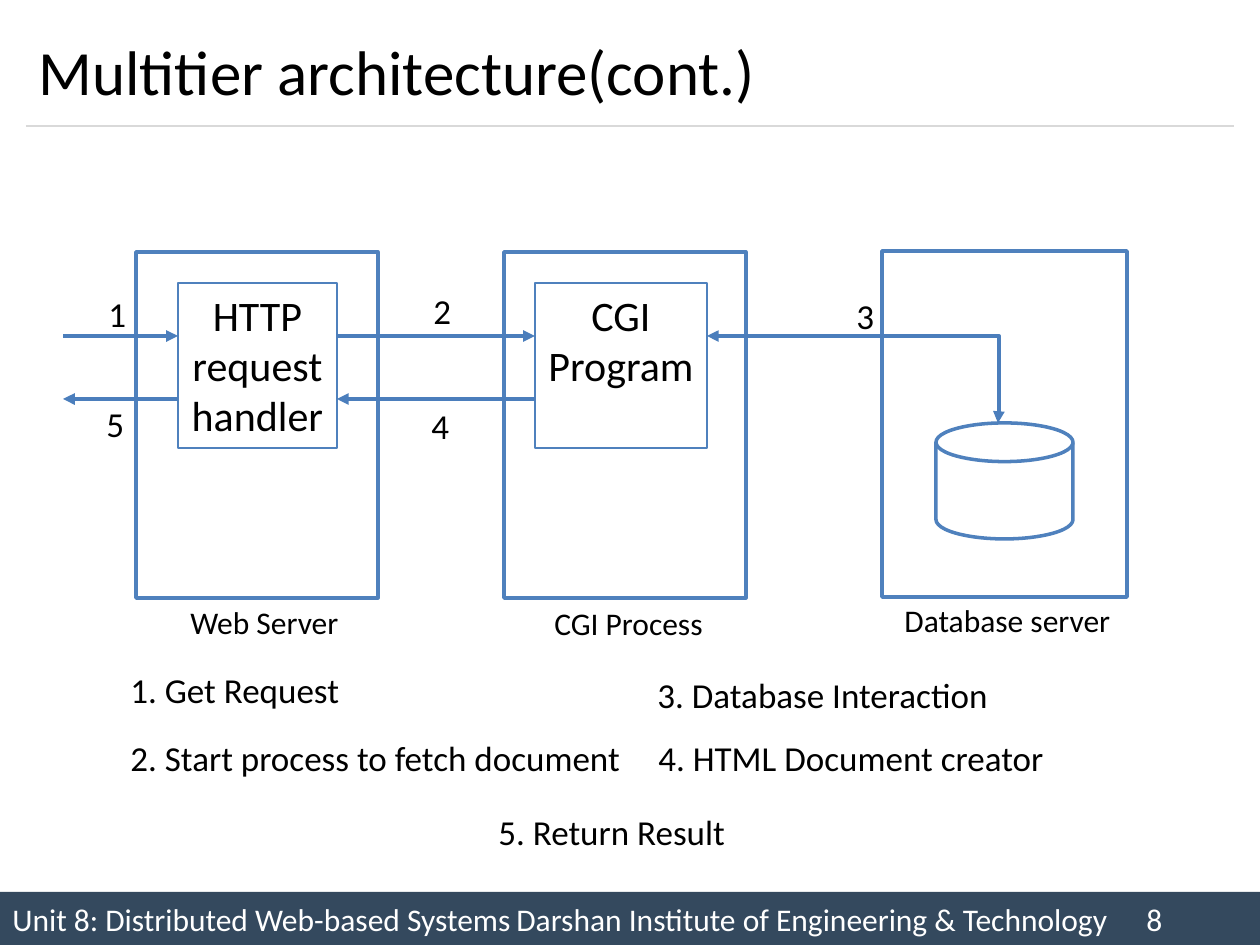
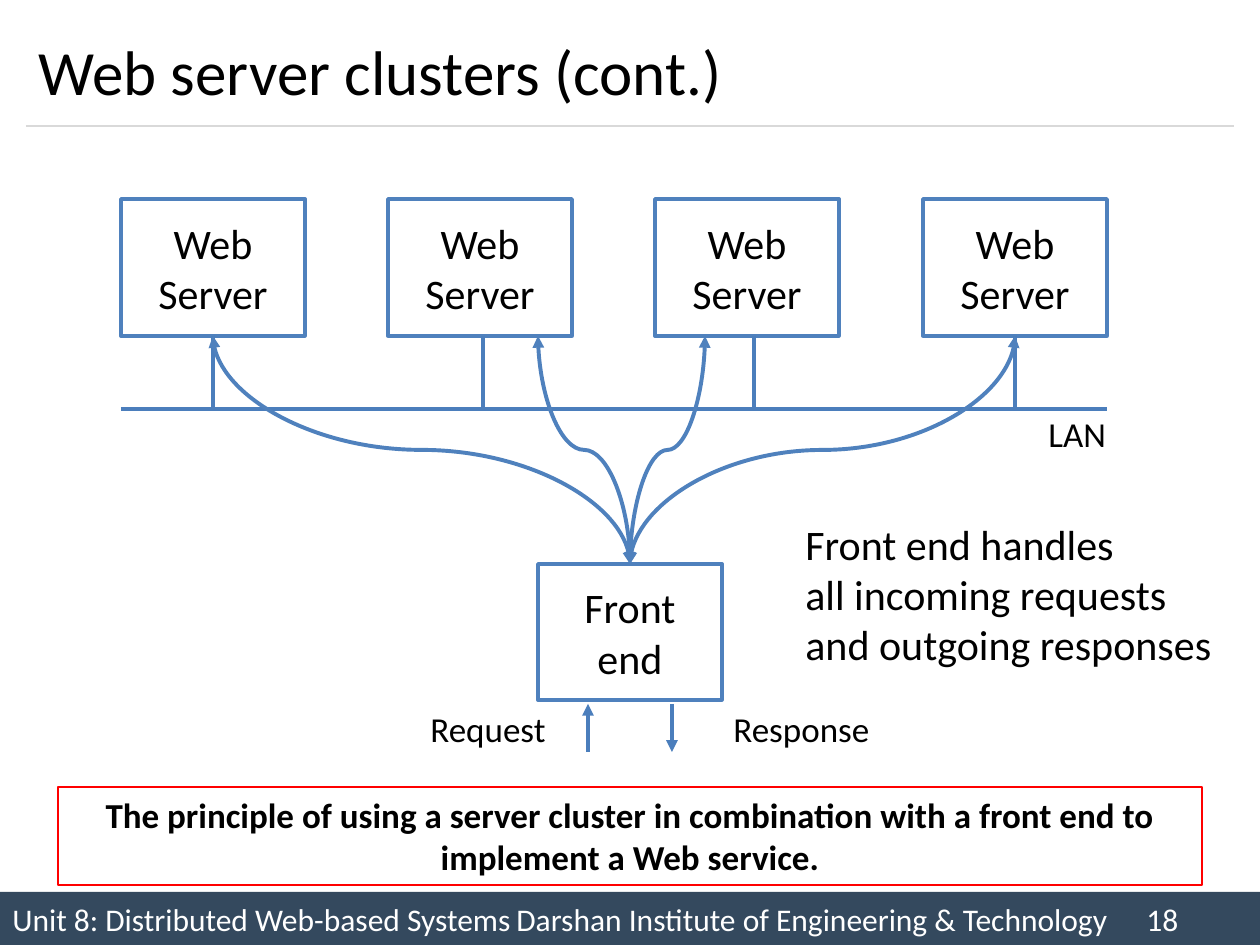
"""Build two slides on web server architecture."""
from lxml import etree
from pptx import Presentation, util as u
from pptx.dml.color import RGBColor
from pptx.enum import shapes as sh, text as tx
from pptx.oxml import ns

HUES = {"ink": "000000", "paper": "FFFFFF", "band": "34495E", "rule": "D9D9D9",
        "edge": "4F81BD", "wire": "4B7EBC", "alert": "FF0000"}
FONT = {"name": "Calibri", "bold": False}
KIND, LINK = sh.MSO_SHAPE, sh.MSO_CONNECTOR
MID, TOP = tx.MSO_ANCHOR.MIDDLE, tx.MSO_ANCHOR.TOP
LEFT, MIDST = tx.PP_ALIGN.LEFT, tx.PP_ALIGN.CENTER
SCALE = 914400 / 126


def px(n):
    """Turn px into EMU."""
    return u.Emu(round(n * SCALE))


def hue(name):
    """Return a named colour."""
    return RGBColor.from_string(HUES[name])


def sub(node, tag, **atts):
    """Append a drawing element to a node."""
    return etree.SubElement(node, ns.qn("a:" + tag), atts)


def write(frame, words, size, ink="ink", align=LEFT, anchor=TOP, wrap=True, bold=False):
    """Fill a text frame, one paragraph for each line of words."""
    form = {"word_wrap": wrap, "vertical_anchor": anchor, "auto_size": tx.MSO_AUTO_SIZE.NONE}
    for key, val in form.items():
        setattr(frame, key, val)
    frame.text = words
    for para in frame.paragraphs:
        para.alignment = align
        for run in para.runs:
            for key, val in {**FONT, "size": u.Pt(size), "bold": bold}.items():
                setattr(run.font, key, val)
            run.font.color.rgb = hue(ink)


def box(slide, area, fill="paper", edge="edge", width=2, kind=KIND.RECTANGLE):
    """Draw a preset shape."""
    item = slide.shapes.add_shape(kind, *map(px, area))
    item.shadow.inherit = False
    if fill:
        item.fill.solid()
        item.fill.fore_color.rgb = hue(fill)
    else:
        item.fill.background()
    if edge:
        item.line.color.rgb = hue(edge)
        item.line.width = u.Pt(width)
    else:
        item.line.fill.background()
    return item


def label(slide, area, words, size=20):
    """Place a text box that does not wrap."""
    item = slide.shapes.add_textbox(*map(px, area))
    write(item.text_frame, words, size, wrap=False)


def wire(slide, ends, tips=(), ink="wire", width=2.25, kind=LINK.STRAIGHT):
    """Draw a connector with arrow tips at the named ends."""
    item = slide.shapes.add_connector(kind, *map(px, ends))
    item.line.color.rgb = hue(ink)
    item.line.width = u.Pt(width)
    for tip in tips:
        sub(item.line._get_or_add_ln(), tip, type="triangle")
    sub(item._element.spPr, "effectLst")
    return item


def turn(item, angle):
    """Rotate a connector."""
    item._element.spPr.find(ns.qn("a:xfrm")).set("rot", str(angle * 60000))


def curve(slide, x1, y1, x2, y2):
    """Draw a two-way curve that leaves and arrives upright."""
    drop, span = y2 - y1, abs(x2 - x1)
    left, top = (x1 + x2 - drop) / 2, (y1 + y2 - span) / 2
    ends, angle = (left, top, left + drop, top + span), 90
    if x2 > x1:
        ends, angle = (left + drop, top, left, top + span), 270
    turn(wire(slide, ends, ("headEnd", "tailEnd"), "edge", kind=LINK.CURVE), angle)


def start(deck, title, page):
    """Add a slide with its title, rule and footer band."""
    slide = deck.slides.add_slide(deck.slide_layouts[5])
    head = slide.shapes.title
    area = {"left": 26, "top": 15, "width": 1207, "height": 111}
    for key, val in area.items():
        setattr(head, key, px(val))
    write(head.text_frame, title, 36, anchor=MID)
    wire(slide, (26, 126, 1234, 126), ink="rule", width=0.75)
    foot = box(slide, (0, 892, 1260, 53), "band", None)
    tabs = sub(foot.text_frame.paragraphs[0]._p.get_or_add_pPr(), "tabLst")
    for stop in (576, 1182):
        sub(tabs, "tab", pos=str(px(stop)), algn="l")
    words = ("Unit 8: Distributed Web-based Systems",
             "Darshan Institute of Engineering & Technology", str(page))
    write(foot.text_frame, "\t".join(words), 18, "paper", anchor=MID)
    return slide


def tiers(deck):
    """Build the multitier slide."""
    slide = start(deck, "Multitier architecture(cont.)", 8)
    for area in ((136, 252, 242, 346), (504, 252, 242, 346), (882, 251, 245, 346)):
        box(slide, area)
    for area, words in (((178, 283, 159, 165), "HTTP\nrequest\nhandler"),
                        ((535, 283, 172, 165), "CGI\nProgram")):
        item = box(slide, area, None, width=0.75)
        write(item.text_frame, words, 24, align=MIDST, wrap=False)
    box(slide, (936, 423, 137, 116), kind=KIND.FLOWCHART_MAGNETIC_DISK)

    for x1, x2, y in ((63, 178, 336), (337, 535, 336), (535, 337, 399), (178, 63, 399)):
        wire(slide, (x1, y, x2, y), ("tailEnd",))
    bent = wire(slide, (707, 336, 998, 423), ("headEnd", "tailEnd"), kind=LINK.ELBOW)
    turn(bent, 180)
    geom = bent._element.spPr.find(ns.qn("a:prstGeom"))
    sub(geom.find(ns.qn("a:avLst")), "gd", name="adj1", fmla="val -300")

    for x, y, wide, words in ((118, 662, 237, "1. Get Request"),
                              (118, 730, 520, "2. Start process to fetch document"),
                              (645, 667, 359, "3. Database Interaction"),
                              (646, 730, 415, "4. HTML Document creator"),
                              (486, 804, 255, "5. Return Result")):
        label(slide, (x, y, wide, 55), words)
    for x, y, wide, words in ((178, 597, 175, "Web Server"), (542, 598, 175, "CGI Process"),
                              (892, 595, 233, "Database server")):
        label(slide, (x, y, wide, 50), words, 18)
    spots = ((96, 286), (421, 283), (844, 288), (419, 398), (94, 396))
    for step, (x, y) in enumerate(spots, 1):
        label(slide, (x, y, 43, 55), str(step))


def cluster(deck):
    """Build the server cluster slide."""
    slide = start(deck, "Web server clusters (cont.)", 18)
    note = box(slide, (58, 787, 1144, 98), None, "alert", 0.75)
    write(note.text_frame, "The principle of using a server cluster in combination with "
          "a front end to implement a Web service.", 20, align=MIDST, bold=True)

    wire(slide, (121, 409, 1107, 409))
    for i, stem in enumerate((213, 483, 754, 1015)):
        left = 121 + i * 802 // 3
        host = box(slide, (left, 199, 184, 137))
        write(host.text_frame, "Web\nServer", 24, align=MIDST, anchor=MID)
        line = wire(slide, (stem, 336, stem, 409))
        if stem == left + 92:
            line.begin_connect(host, 2)

    front = box(slide, (538, 564, 184, 136))
    write(front.text_frame, "Front end", 24, align=MIDST, anchor=MID)
    for x, y1, y2 in ((588, 752, 704), (672, 704, 752)):
        wire(slide, (x, y1, x, y2), ("tailEnd",))
    for x in (538, 705, 213, 1015):
        curve(slide, x, 336, 630, 564)

    label(slide, (418, 701, 142, 55), "Request")
    label(slide, (721, 701, 163, 55), "Response")
    label(slide, (1036, 406, 83, 55), "LAN")
    label(slide, (793, 512, 435, 165),
          "Front end handles\nall incoming requests\nand outgoing responses", 24)


def main():
    """Build and save the deck."""
    deck = Presentation()
    deck.slide_width, deck.slide_height = px(1260), px(945)
    tiers(deck)
    cluster(deck)
    deck.save("out.pptx")


if __name__ == "__main__":
    main()
